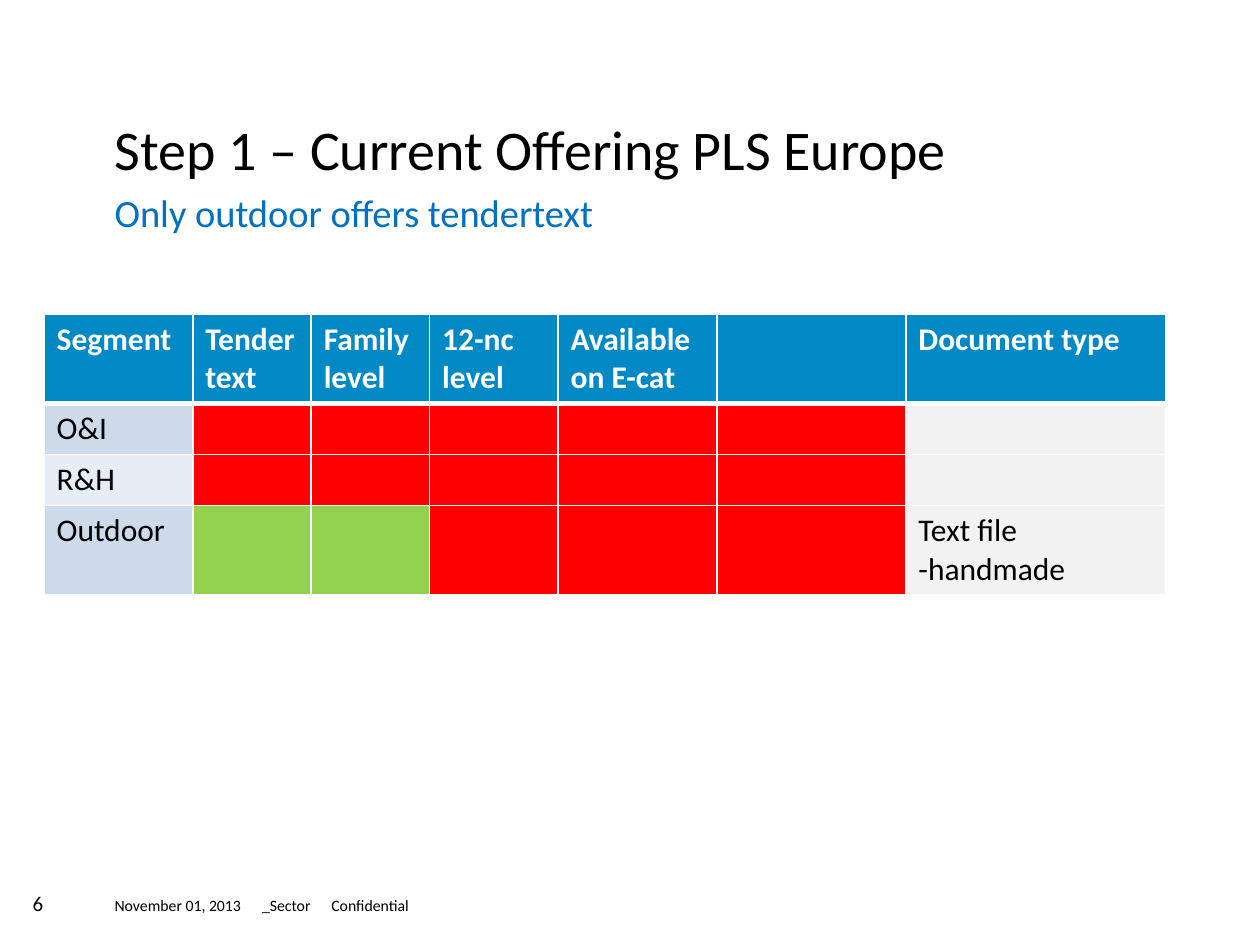
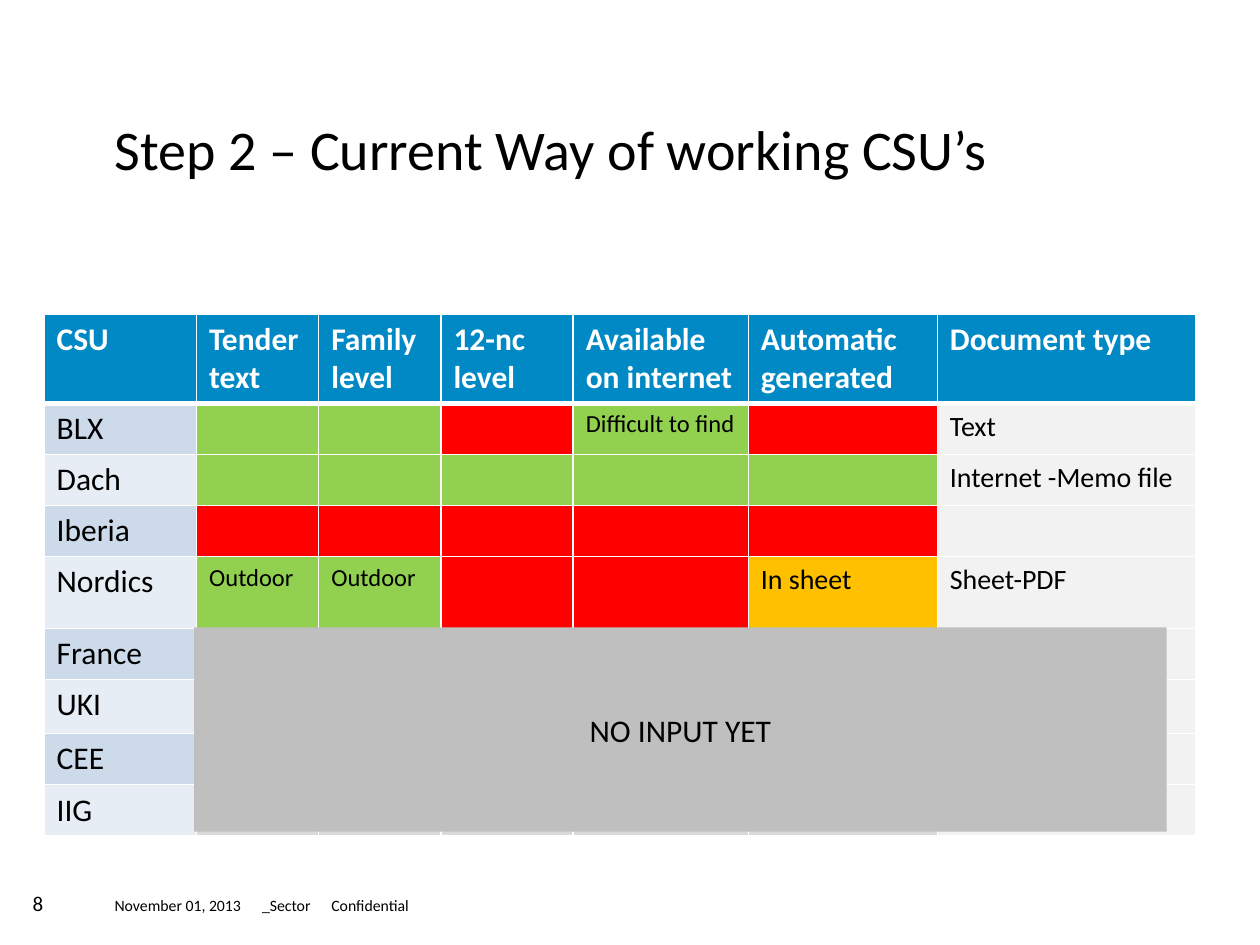
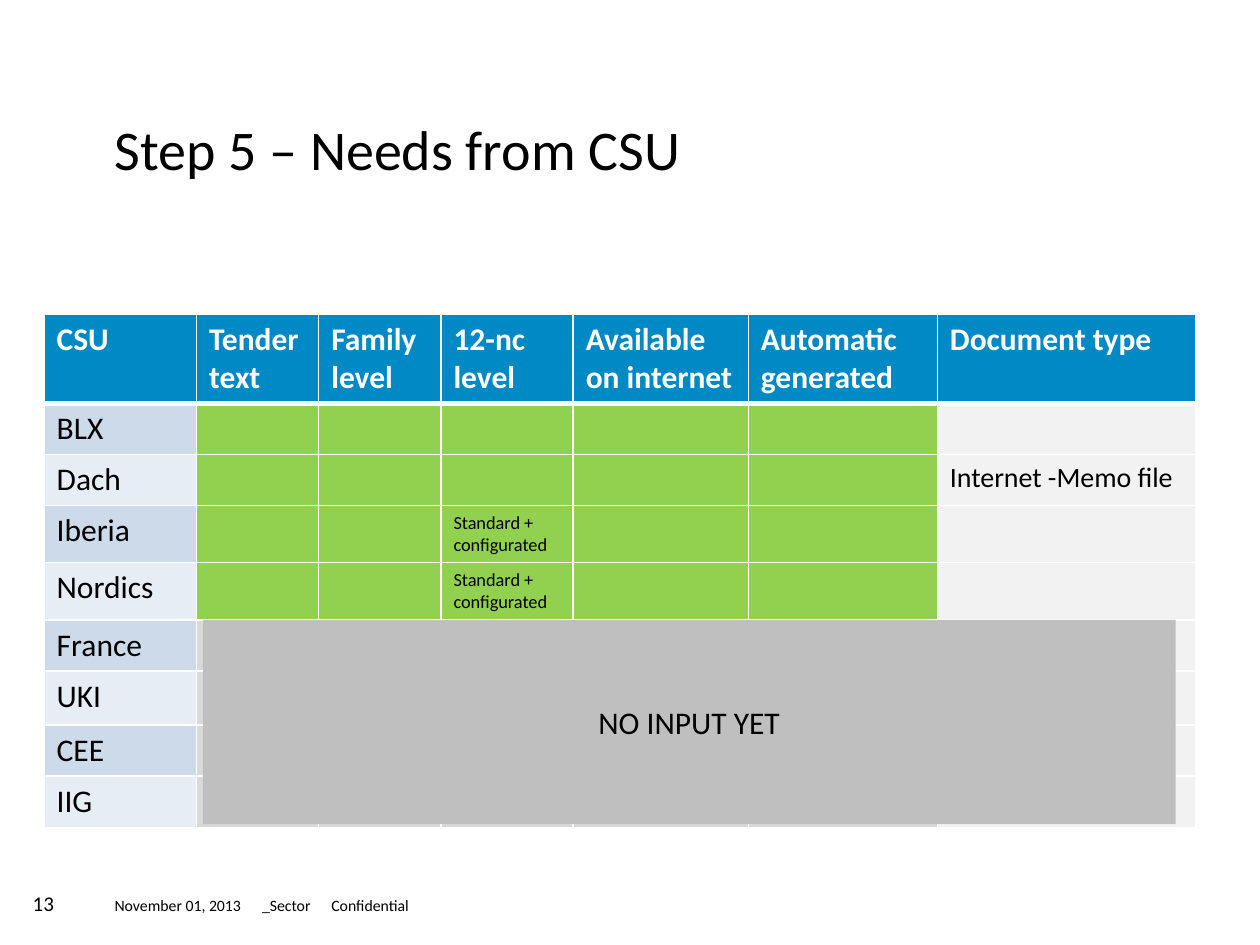
from dataclasses import dataclass
from lxml.etree import SubElement
from pptx import Presentation
from pptx.dml.color import RGBColor as Rgb
from pptx.enum.shapes import MSO_SHAPE as Preset
from pptx.enum.text import MSO_ANCHOR as Anchor, MSO_AUTO_SIZE as AutoSize, PP_ALIGN as Align
from pptx.oxml import parse_xml
from pptx.oxml.ns import nsdecls, qn
from pptx.util import Inches, Pt


@dataclass(frozen=True)
class Theme:
    font: str = "Calibri"
    black: str = "000000"
    white: str = "FFFFFF"
    subtitle: str = "0070C0"
    header: str = "0089C4"
    bands: tuple = ("CCDAEA", "E7EDF5")
    document: str = "F2F2F2"
    cover: str = "BFBFBF"
    title_size: float = 32
    subtitle_size: float = 22
    table_size: float = 18
    document_size: float = 16
    note_size: float = 14
    small_size: float = 10.5
    number_size: float = 12
    footer_size: float = 9


theme = Theme()
STATUS = {"G": "92D050", "R": "FF0000", "A": "FFC000", "-": "D9D9D9"}
LEFT = 0.91


def add_run(paragraph, text, size, color=theme.black, bold=False):
    run = paragraph.add_run()
    run.text = text
    run.font.name = theme.font
    run.font.size = Pt(size)
    run.font.bold = bold
    run.font.color.rgb = Rgb.from_string(color)


def set_frame(shape, left, top, width, height):
    shape.left, shape.top = Inches(left), Inches(top)
    shape.width, shape.height = Inches(width), Inches(height)
    frame = shape.text_frame
    frame.margin_left = frame.margin_right = frame.margin_top = frame.margin_bottom = 0
    frame.word_wrap = True
    frame.auto_size = AutoSize.NONE
    frame.vertical_anchor = Anchor.TOP
    paragraph = frame.paragraphs[0]
    paragraph.alignment = Align.LEFT
    return paragraph


csu_columns = [("CSU", 1.21), ("Tender text", 0.97), ("Family level", 0.97),
               ("12-nc level", 1.05), ("Available on internet", 1.39),
               ("Automatic generated", 1.5), ("Document type", 2.05)]
pending_rows = [("France", "-----", {}, 0.4), ("UKI", "-----", {}, 0.43),
                ("CEE", "-----", {}, 0.4), ("IIG", "-----", {}, 0.4)]
internet_memo = ("Internet -Memo file", theme.document_size)
configured = ("Standard + configurated", theme.small_size)
outdoor = ("Outdoor", theme.note_size)

steps = [
    dict(
        number="6", title="Step 1 – Current Offering PLS Europe",
        subtitle="Only outdoor offers tendertext", cover=None,
        columns=[("Segment", 1.18), ("Tender text", 0.94), ("Family level", 0.94),
                 ("12-nc level", 1.02), ("Available on E-cat", 1.26),
                 ("", 1.5), ("Document type", 2.06)],
        rows=[("O&I", "RRRRR", {}, 0.4), ("R&H", "RRRRR", {}, 0.4),
              ("Outdoor", "GGRRR", {6: ("Text file -handmade", theme.table_size)}, 0.7)],
    ),
    dict(
        number="8", title="Step 2 – Current Way of working CSU’s",
        subtitle=None, cover=(1.54, 4.98), columns=csu_columns,
        rows=[("BLX", "GGRGR", {4: ("Difficult to find", theme.note_size),
                                6: ("Text", theme.document_size)}, 0.4),
              ("Dach", "GGGGG", {6: internet_memo}, 0.4),
              ("Iberia", "RRRRR", {}, 0.4),
              ("Nordics", "GGRRA", {1: outdoor, 2: outdoor,
                                    5: ("In sheet", theme.document_size),
                                    6: ("Sheet-PDF", theme.document_size)}, 0.57),
              *pending_rows],
    ),
    dict(
        number="13", title="Step 5 – Needs from CSU",
        subtitle=None, cover=(1.61, 4.92), columns=csu_columns,
        rows=[("BLX", "GGGGG", {}, 0.4),
              ("Dach", "GGGGG", {6: internet_memo}, 0.4),
              ("Iberia", "GGGGG", {3: configured}, 0.45),
              ("Nordics", "GGGGG", {3: configured}, 0.45),
              *pending_rows],
    ),
]

deck = Presentation()
deck.slide_width, deck.slide_height = Inches(10), Inches(7.5)

for step in steps:
    slide = deck.slides.add_slide(deck.slide_layouts[5])
    shapes = slide.shapes

    heading = set_frame(shapes.title, LEFT, 0.91, 8.19, 0.56)
    add_run(heading, step["title"], theme.title_size)
    if step["subtitle"]:
        subtitle = set_frame(shapes.add_textbox(0, 0, 0, 0), LEFT, 1.5, 8.19, 0.41)
        add_run(subtitle, step["subtitle"], theme.subtitle_size, theme.subtitle)

    footer = set_frame(shapes.add_textbox(0, 0, 0, 0), LEFT, 7.11, 4.96, 0.15)
    tab_stops = SubElement(footer._p.get_or_add_pPr(), qn("a:tabLst"))
    for stop in (1.17, 1.72):
        SubElement(tab_stops, qn("a:tab"), pos=str(Inches(stop)), algn="l")
    add_run(footer, "November 01, 2013\t_Sector\tConfidential", theme.footer_size)
    page_number = set_frame(shapes.add_textbox(0, 0, 0, 0), 0.26, 7.07, 0.56, 0.2)
    add_run(page_number, step["number"], theme.number_size)

    columns, rows = step["columns"], step["rows"]
    heights = [0.7] + [height for *_, height in rows]
    grid = [[(label, theme.table_size, theme.header) for label, _ in columns]]
    for index, (name, statuses, notes, _) in enumerate(rows):
        fills = [theme.bands[index % 2], *(STATUS[status] for status in statuses), theme.document]
        texts = {0: (name, theme.table_size), **notes}
        grid.append([(*texts.get(column, ("", theme.table_size)), fill)
                     for column, fill in enumerate(fills)])

    table = shapes.add_table(len(grid), len(columns), Inches(0.35), Inches(2.49),
                             Inches(sum(width for _, width in columns)),
                             Inches(sum(heights))).table
    for column, (_, width) in zip(table.columns, columns):
        column.width = Inches(width)
    for row, height in zip(table.rows, heights):
        row.height = Inches(height)
    for row_index, entries in enumerate(grid):
        is_header = row_index == 0
        for column_index, (text, size, fill) in enumerate(entries):
            cell = table.cell(row_index, column_index)
            cell.fill.solid()
            cell.fill.fore_color.rgb = Rgb.from_string(fill)
            if text:
                add_run(cell.text_frame.paragraphs[0], text, size,
                        theme.white if is_header else theme.black, is_header)
            edges = {"L": 1, "R": 1, "T": 3 if row_index == 1 else 1, "B": 3 if is_header else 1}
            for position, (side, weight) in enumerate(edges.items()):
                cell._tc.get_or_add_tcPr().insert(position, parse_xml(
                    f'<a:ln{side} {nsdecls("a")} w="{Pt(weight)}"><a:solidFill>'
                    f'<a:srgbClr val="{theme.white}"/></a:solidFill></a:ln{side}>'))

    if step["cover"]:
        left, top = step["cover"]
        cover = shapes.add_shape(Preset.RECTANGLE, Inches(left), Inches(top),
                                 Inches(7.72), Inches(1.62))
        cover.shadow.inherit = False
        cover.fill.solid()
        cover.fill.fore_color.rgb = Rgb.from_string(theme.cover)
        cover.line.fill.background()
        cover.text_frame.vertical_anchor = Anchor.MIDDLE
        message = cover.text_frame.paragraphs[0]
        message.alignment = Align.CENTER
        add_run(message, "NO INPUT YET", theme.table_size)

deck.save("out.pptx")
